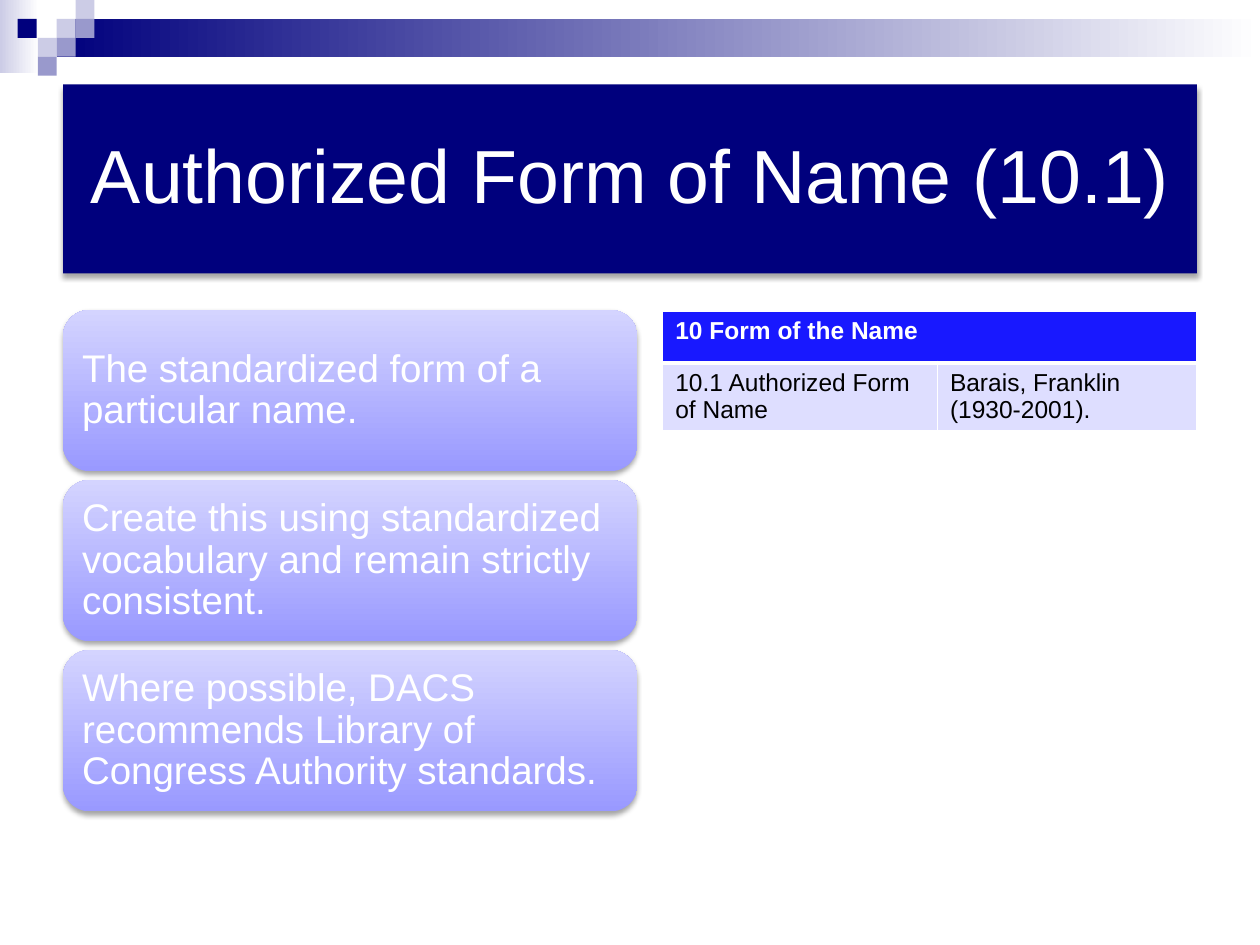
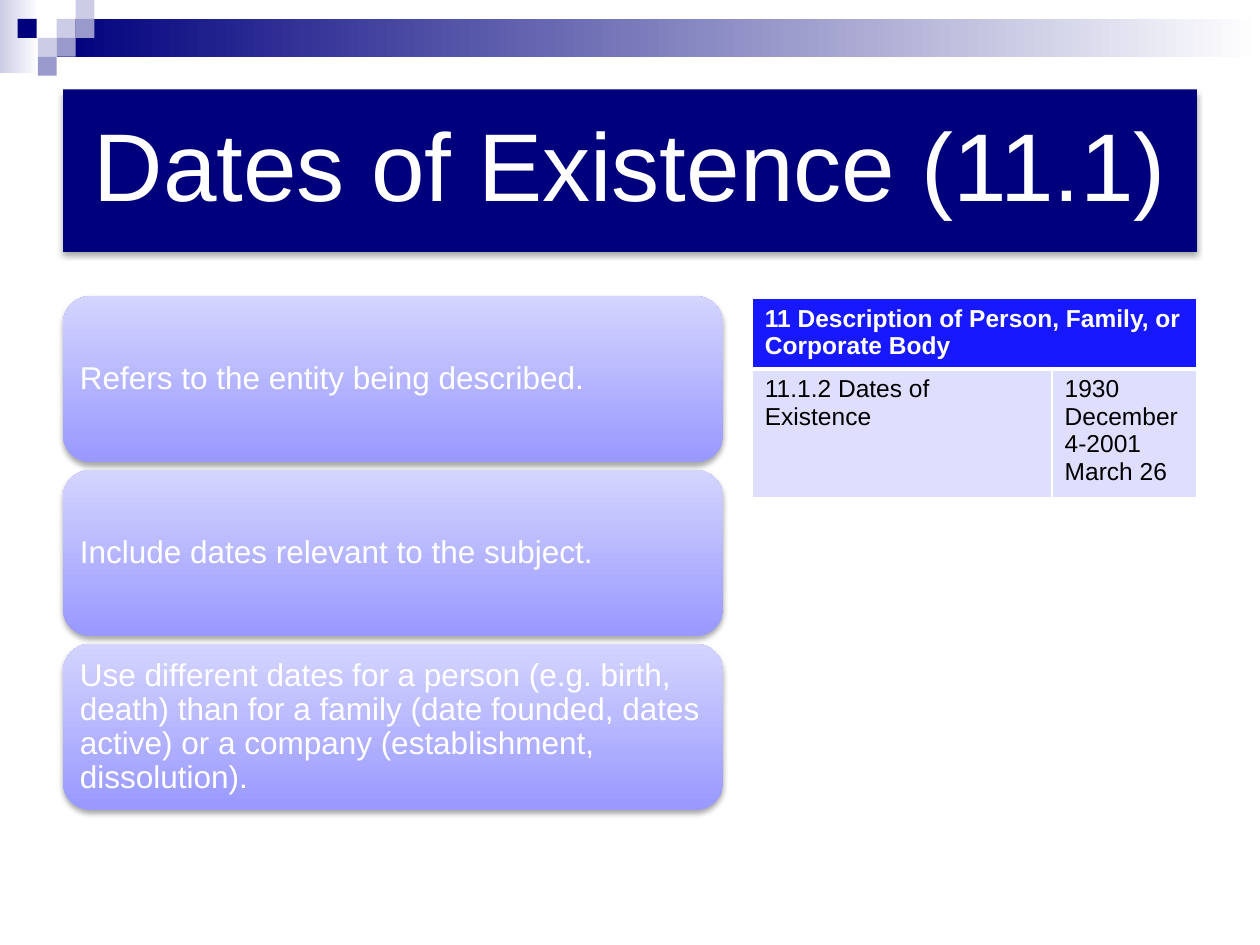
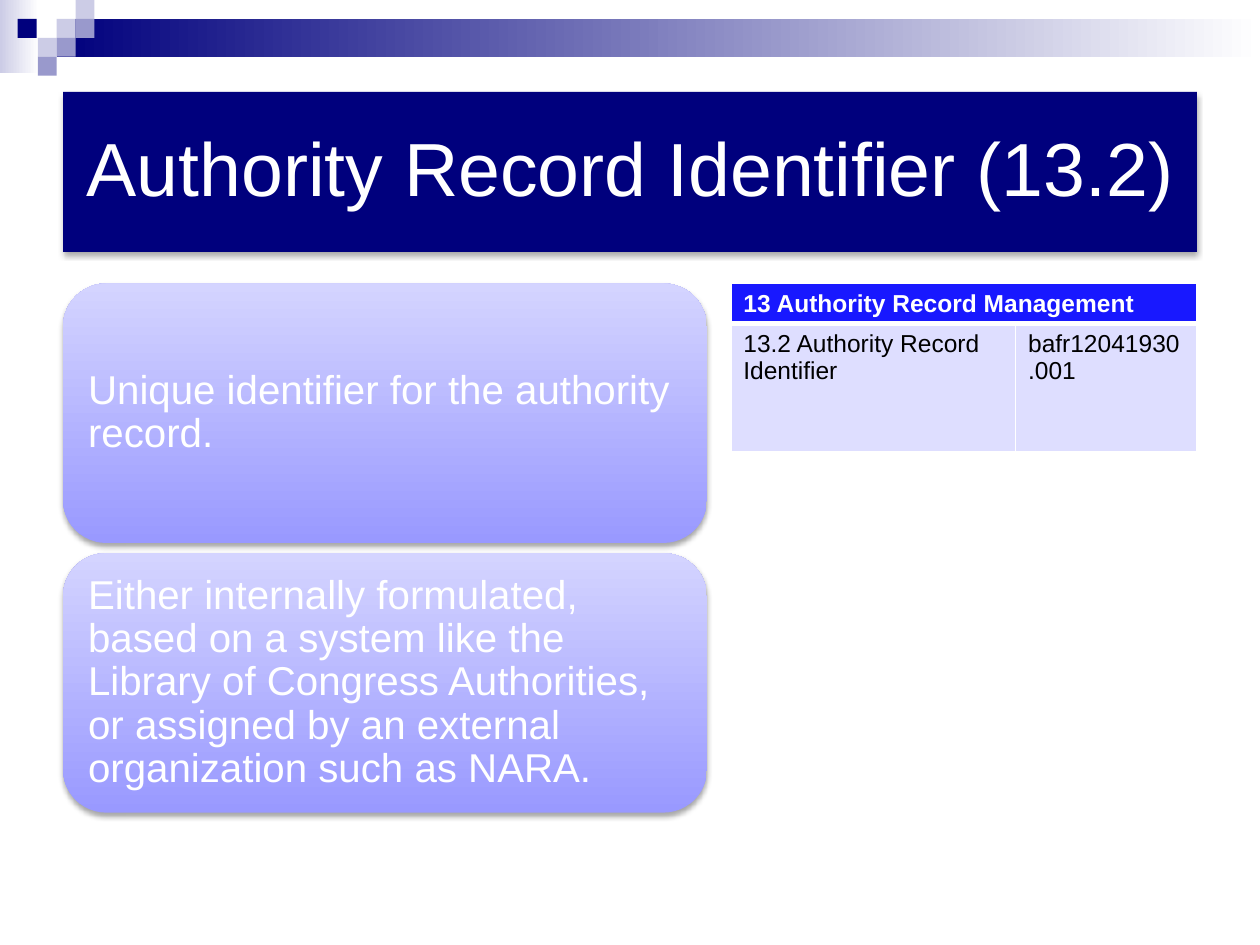
"""Build three slides on the elements of an archival authority record."""
import lxml.etree
import pptx
import pptx.dml.color
import pptx.enum.shapes
import pptx.enum.text
import pptx.oxml.ns
import pptx.util

Inches = pptx.util.Inches
Pt = pptx.util.Pt
SHAPES = pptx.enum.shapes.MSO_SHAPE
ALIGN = pptx.enum.text.PP_ALIGN
ANCHOR = pptx.enum.text.MSO_ANCHOR

FONT = "Arial"
NAVY, WHITE, BLACK = "00007D", "FFFFFF", "000000"
LAVENDER, STEEL = "CCCCE6", "9999CC"
CARD_BOTTOM, CARD_TOP = "9999FF", "D4D4FF"
HEADER_FILL, BODY_FILL = "1818FF", "DEDEFF"
LEFT = 0.5
TILE = 0.15
TILES = [
    (0.45, 0.15, LAVENDER),
    (0.6, 0, LAVENDER),
    (0.6, 0.15, STEEL),
    (0.3, 0.3, LAVENDER),
    (0.14, 0.15, NAVY),
    (0.45, 0.3, STEEL),
    (0.3, 0.45, STEEL),
]

SLIDES = [
    {
        "title": {"text": "Authorized Form of Name (10.1)", "size": 43,
                  "top": 0.67, "height": 1.5},
        "cards": {"top": 2.46, "width": 4.56, "height": 1.28, "pitch": 1.35,
                  "inset": 0.09, "size": 22,
                  "texts": [
                      "The standardized form of a particular name.",
                      "Create this using standardized vocabulary and remain "
                      "strictly consistent.",
                      "Where possible, DACS recommends Library of Congress "
                      "Authority standards."]},
        "table": {"left": 5.26, "top": 2.47, "columns": [2.18, 2.06],
                  "rows": [0.41, 0.41], "header": "10 Form of the Name",
                  "body": ["10.1 Authorized Form of Name",
                           "Barais, Franklin (1930-2001)."]},
    },
    {
        "title": {"text": "Dates of Existence (11.1)", "size": 55,
                  "top": 0.71, "height": 1.29},
        "cards": {"top": 2.35, "width": 5.24, "height": 1.32, "pitch": 1.38,
                  "inset": 0.07, "size": 18,
                  "texts": [
                      "Refers to the entity being described.",
                      "Include dates relevant to the subject.",
                      "Use different dates for a person (e.g. birth, death) "
                      "than for a family (date founded, dates active) or a "
                      "company (establishment, dissolution)."]},
        "table": {"left": 5.97, "top": 2.37, "columns": [2.38, 1.15],
                  "rows": [0.56, 1.02],
                  "header": "11 Description of Person, Family, or Corporate Body",
                  "body": ["11.1.2 Dates of Existence",
                           "1930 December 4-2001 March 26"]},
    },
    {
        "title": {"text": "Authority Record Identifier (13.2)", "size": 43,
                  "top": 0.73, "height": 1.27},
        "cards": {"top": 2.25, "width": 5.11, "height": 2.06, "pitch": 2.14,
                  "inset": 0.1, "size": 23,
                  "texts": [
                      "Unique identifier for the authority record.",
                      "Either internally formulated, based on a system like "
                      "the Library of Congress Authorities, or assigned by an "
                      "external organization such as NARA."]},
        "table": {"left": 5.8, "top": 2.25, "columns": [2.26, 1.44],
                  "rows": [0.26, 1.02],
                  "header": "13 Authority Record Management",
                  "body": ["13.2 Authority Record Identifier",
                           "bafr12041930.001"]},
    },
]


def color(value):
    return pptx.dml.color.RGBColor.from_string(value)


def apply_format(target, values):
    for name, value in values.items():
        setattr(target, name, value)


def add_element(parent, tag, **attributes):
    return lxml.etree.SubElement(parent, pptx.oxml.ns.qn(tag), attributes)


def fill_solid(target, value):
    target.fill.solid()
    target.fill.fore_color.rgb = color(value)


def fill_gradient(shape, start, end, angle):
    shape.fill.gradient()
    shape.fill.gradient_angle = angle
    stops = shape.fill.gradient_stops
    for stop, position, value in zip(stops, (0, 1), (start, end)):
        stop.position = position
        stop.color.rgb = color(value)


def add_plain_shape(page, kind, left, top, width, height):
    shape = page.shapes.add_shape(
        kind, Inches(left), Inches(top), Inches(width), Inches(height))
    shape.line.fill.background()
    shape.shadow.inherit = False
    return shape


def add_soft_shadow(shape):
    shape.shadow.inherit = False
    effects = shape.element.spPr.find(pptx.oxml.ns.qn("a:effectLst"))
    shadow = add_element(effects, "a:outerShdw", blurRad="40000", dist="23000",
                         dir="5400000", rotWithShape="0")
    shade = add_element(shadow, "a:srgbClr", val=BLACK)
    add_element(shade, "a:alpha", val="35000")


def write_text(frame, text, size, value=WHITE, bold=False, **para_format):
    para = frame.paragraphs[0]
    apply_format(para, para_format)
    span = para.add_run()
    span.text = text
    apply_format(span.font, {"name": FONT, "size": Pt(size), "bold": bold})
    span.font.color.rgb = color(value)


def format_frame(frame, inset, wrap):
    margins = dict.fromkeys(
        ["margin_left", "margin_top", "margin_right", "margin_bottom"],
        Inches(inset))
    apply_format(frame, margins | {
        "auto_size": pptx.enum.text.MSO_AUTO_SIZE.NONE,
        "word_wrap": wrap,
        "vertical_anchor": ANCHOR.MIDDLE,
    })


def add_master_band(deck, page):
    corner = add_plain_shape(page, SHAPES.RECTANGLE, 0, 0, 0.31, 0.58)
    fill_gradient(corner, LAVENDER, WHITE, 0)
    stripe = add_plain_shape(page, SHAPES.RECTANGLE, 0.45, 0.15, 9.55, 0.3)
    fill_gradient(stripe, NAVY, WHITE, 0)
    band = [corner, stripe]
    for left, top, value in TILES:
        tile = add_plain_shape(page, SHAPES.RECTANGLE, left, top, TILE, TILE)
        fill_solid(tile, value)
        band.append(tile)
    for number, shape in enumerate(band, start=101):
        shape.element.nvSpPr.cNvPr.set("id", str(number))
        deck.slide_master.shapes.element.append(shape.element)


def set_title(page, text, size, top, height):
    title = page.shapes.title
    apply_format(title, {"left": Inches(LEFT), "top": Inches(top),
                         "width": Inches(9), "height": Inches(height)})
    fill_solid(title, NAVY)
    add_soft_shadow(title)
    format_frame(title.text_frame, 0.18, False)
    write_text(title.text_frame, text, size,
               alignment=ALIGN.CENTER, line_spacing=0.9)


def add_cards(page, texts, top, width, height, pitch, inset, size):
    for index, text in enumerate(texts):
        card = add_plain_shape(page, SHAPES.ROUNDED_RECTANGLE,
                               LEFT, top + index * pitch, width, height)
        fill_gradient(card, CARD_BOTTOM, CARD_TOP, 90)
        add_soft_shadow(card)
        format_frame(card.text_frame, inset, True)
        write_text(card.text_frame, text, size,
                   alignment=ALIGN.LEFT, line_spacing=0.9)


def set_borders(cell, **widths):
    properties = cell._tc.get_or_add_tcPr()
    for side in "LRTB":
        line = add_element(properties, f"a:ln{side}",
                           w=str(Pt(widths.get(side, 1))))
        add_element(add_element(line, "a:solidFill"), "a:srgbClr", val=WHITE)


def add_record_table(page, left, top, columns, rows, header, body):
    table = page.shapes.add_table(
        len(rows), len(columns), Inches(left), Inches(top),
        Inches(sum(columns)), Inches(sum(rows))).table
    for column, width in zip(table.columns, columns):
        column.width = Inches(width)
    for row, height in zip(table.rows, rows):
        row.height = Inches(height)
    for index, text in enumerate(body):
        header_cell, body_cell = table.cell(0, index), table.cell(1, index)
        set_borders(header_cell, B=3)
        set_borders(body_cell, T=3)
        fill_solid(header_cell, HEADER_FILL)
        fill_solid(body_cell, BODY_FILL)
        write_text(body_cell.text_frame, text, 14, BLACK)
    table.cell(0, 0).merge(table.cell(0, len(columns) - 1))
    write_text(table.cell(0, 0).text_frame, header, 14, bold=True)


def main():
    deck = pptx.Presentation()
    deck.slide_width, deck.slide_height = Inches(10), Inches(7.5)
    title_only = deck.slide_layouts[5]
    for content in SLIDES:
        page = deck.slides.add_slide(title_only)
        set_title(page, **content["title"])
        add_cards(page, **content["cards"])
        add_record_table(page, **content["table"])
    add_master_band(deck, deck.slides[0])
    deck.save("out.pptx")


if __name__ == "__main__":
    main()
